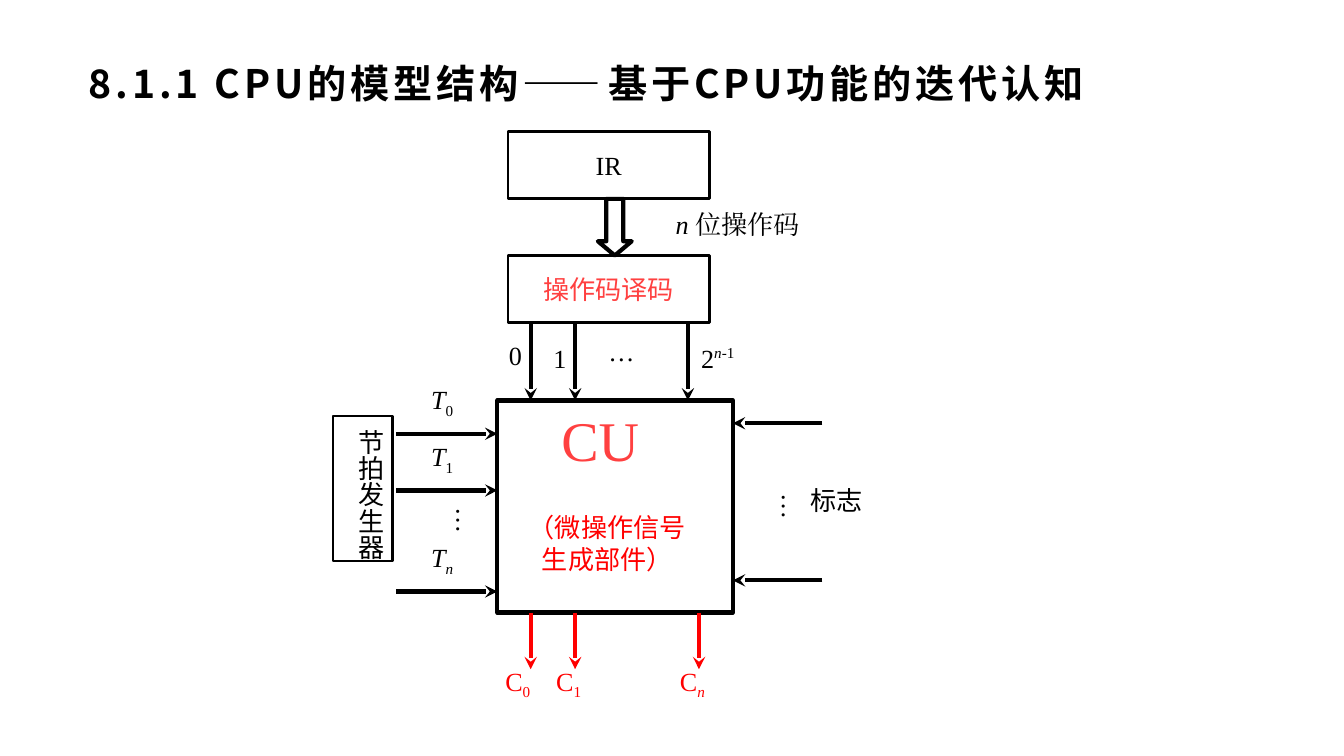
from dataclasses import dataclass

from lxml.etree import SubElement
from pptx import Presentation
from pptx.dml.color import RGBColor
from pptx.enum.shapes import MSO_CONNECTOR, MSO_SHAPE as Preset
from pptx.enum.text import MSO_ANCHOR as Anchor, MSO_AUTO_SIZE as AutoSize, PP_ALIGN as Align
from pptx.oxml.ns import qn
from pptx.util import Cm, Pt


@dataclass(frozen=True)
class Theme:
    black: RGBColor = RGBColor(0, 0, 0)
    red: RGBColor = RGBColor(0xFF, 0, 0)
    coral: RGBColor = RGBColor(0xFF, 0x40, 0x40)
    serif: str = "Times New Roman"
    sans: str = "Arial"
    chinese: str = "Noto Sans CJK SC"
    title_size: float = 21
    body_size: float = 14
    unit_size: float = 30
    thin: float = 1.5
    thick: float = 2.25


ITALIC = {"italic": True}
SUBSCRIPT = -25000
SUPERSCRIPT = 40000


class Diagram:
    """Holds the theme and the current slide, and draws each kind of element."""

    def __init__(self, slide, theme):
        self.slide = slide
        self.theme = theme

    def add_run(self, paragraph, text, face, size, color, baseline=0, **formats):
        run = paragraph.add_run()
        run.text = text
        values = {"name": face, "size": Pt(size), **formats}
        for name, value in values.items():
            setattr(run.font, name, value)
        run.font.color.rgb = color
        properties = run.font._element
        if baseline:
            properties.set("baseline", str(baseline))
        east_asian = SubElement(properties, qn("a:ea"))
        east_asian.set("typeface", face)
        return run

    def title(self, text, box):
        shape = self.slide.shapes.title
        shape.left, shape.top, shape.width, shape.height = map(Cm, box)
        frame = shape.text_frame
        values = {
            "word_wrap": True, "auto_size": AutoSize.NONE, "vertical_anchor": Anchor.MIDDLE,
            "margin_left": Cm(0.28), "margin_right": Cm(0.2),
            "margin_top": Cm(0.1), "margin_bottom": Cm(0.1),
        }
        for name, value in values.items():
            setattr(frame, name, value)
        paragraph = frame.paragraphs[0]
        paragraph.alignment = Align.LEFT
        run = self.add_run(paragraph, text, self.theme.chinese, self.theme.title_size,
                           self.theme.black, bold=True)
        run.font._element.set("spc", "200")

    def outline(self, preset, box, width):
        shape = self.slide.shapes.add_shape(preset, *map(Cm, box))
        shape.shadow.inherit = False
        shape.fill.background()
        shape.line.color.rgb = self.theme.black
        shape.line.width = Pt(width)
        return shape

    def put_text(self, shape, lines, face=None, size=None, color=None, align=Align.LEFT,
                 anchor=Anchor.TOP, grow=True, vertical=False):
        """Each line is a list of (text, formats) runs."""
        frame = shape.text_frame
        frame.word_wrap = False
        frame.auto_size = AutoSize.SHAPE_TO_FIT_TEXT if grow else AutoSize.NONE
        frame.vertical_anchor = anchor
        if vertical:
            frame._txBody.bodyPr.set("vert", "eaVert")
        for index, runs in enumerate(lines):
            paragraph = frame.add_paragraph() if index else frame.paragraphs[0]
            paragraph.alignment = align
            for text, formats in runs:
                self.add_run(paragraph, text, face or self.theme.serif,
                             size or self.theme.body_size, color or self.theme.black, **formats)
        return frame

    def label(self, box, *runs, **options):
        shape = self.slide.shapes.add_textbox(*map(Cm, box))
        return self.put_text(shape, [runs], **options)

    def dots(self, box, vertical=False):
        self.label(box, ("…", {}), vertical=vertical)

    def arrow(self, start, end, color=None):
        line = self.slide.shapes.add_connector(MSO_CONNECTOR.STRAIGHT, *map(Cm, start + end))
        line.line.color.rgb = color or self.theme.black
        line.line.width = Pt(self.theme.thick)
        SubElement(line.line._get_or_add_ln(), qn("a:tailEnd")).set("type", "stealth")
        SubElement(line._element.spPr, qn("a:effectLst"))


def main():
    presentation = Presentation()
    presentation.slide_width, presentation.slide_height = Cm(25.4), Cm(14.29)
    theme = Theme()
    slide = presentation.slides.add_slide(presentation.slide_layouts[5])
    diagram = Diagram(slide, theme)
    diagram.title("8.1.1 CPU的模型结构——基于CPU功能的迭代认知", (1.4, 0.89, 22.6, 1.35))

    # Instruction register and opcode decoder
    for text, top, face, color in (("IR", 2.49, theme.serif, theme.black),
                                   ("操作码译码", 4.83, theme.chinese, theme.coral)):
        shape = diagram.outline(Preset.RECTANGLE, (9.6, top, 3.81, 1.27), theme.thin)
        diagram.put_text(shape, [[(text, {})]], face=face, color=color, align=Align.CENTER,
                         anchor=Anchor.MIDDLE, grow=False)
    opcode_arrow = diagram.outline(Preset.DOWN_ARROW, (11.3, 3.76, 0.64, 1.07), theme.thick)
    opcode_arrow.adjustments[0] = 0.5
    opcode_arrow.adjustments[1] = 0.42
    diagram.label((12.52, 3.81, 3.91, 1.09), ("n ", ITALIC), ("位操作码", {}))

    # Control unit
    unit_left, unit_top, unit_width, unit_height = unit = (9.4, 7.57, 4.45, 4.01)
    unit_right, unit_bottom = unit_left + unit_width, unit_top + unit_height
    diagram.outline(Preset.RECTANGLE, unit, theme.thick)
    diagram.label((10.36, 7.54, 2.01, 1.55), ("CU", {}), size=theme.unit_size, color=theme.coral)
    caption = slide.shapes.add_textbox(*map(Cm, (9.09, 9.55, 4.78, 2.11)))
    frame = diagram.put_text(caption, [[("（微操作信号", {})], [("生成部件）", {})]],
                             face=theme.sans, color=theme.red, align=Align.CENTER)
    for paragraph in frame.paragraphs:
        properties = paragraph._p.get_or_add_pPr()
        properties.set("marL", str(Cm(0.97)))
        properties.set("indent", str(-Cm(0.97)))

    # Beat generator and its timing signals
    generator = diagram.outline(Preset.RECTANGLE, (6.3, 7.87, 1.12, 2.74), 1.25)
    diagram.put_text(generator, [[("节拍发生器", {})]], face=theme.chinese, vertical=True)
    for index, y in (("0", 8.2), ("1", 9.27), ("n", 11.18)):
        diagram.arrow((7.49, y), (unit_left, y))
        diagram.label((7.9, y - 1.07, 1.17, 1.09), ("T", ITALIC),
                      (index, {"baseline": SUBSCRIPT, "italic": index == "n"}))
    diagram.dots((7.9, 9.35, 1.35, 0.97), vertical=True)

    # Flags
    for y in (8, 10.97):
        diagram.arrow((15.54, y), (unit_right, y))
    diagram.dots((14.05, 9.07, 1.35, 0.97), vertical=True)
    diagram.label((15.06, 9.04, 1.93, 1.09), ("标志", {}), face=theme.chinese)

    # Decoder outputs
    for x in (10.03, 10.87, 13):
        diagram.arrow((x, 6.1), (x, unit_top))
    diagram.label((9.37, 6.3, 0.86, 1.09), ("0", {}))
    diagram.label((10.21, 6.35, 0.86, 1.09), ("1", {}))
    diagram.label((13, 6.35, 1.5, 1.09), ("2", {}),
                  ("n", {"italic": True, "baseline": SUPERSCRIPT}),
                  ("-1", {"baseline": SUPERSCRIPT}))
    diagram.dots((11.25, 6.22, 1.22, 1.09))

    # Control signals
    for index, x, label_left in (("0", 10.03, 9.3), ("1", 10.87, 10.26), ("n", 13.21, 12.6)):
        diagram.arrow((x, unit_bottom), (x, 12.65), theme.red)
        diagram.label((label_left, 12.45, 1.25, 1.09), ("C", {}),
                      (index, {"baseline": SUBSCRIPT, "italic": index == "n"}), color=theme.red)

    presentation.save("out.pptx")


if __name__ == "__main__":
    main()
